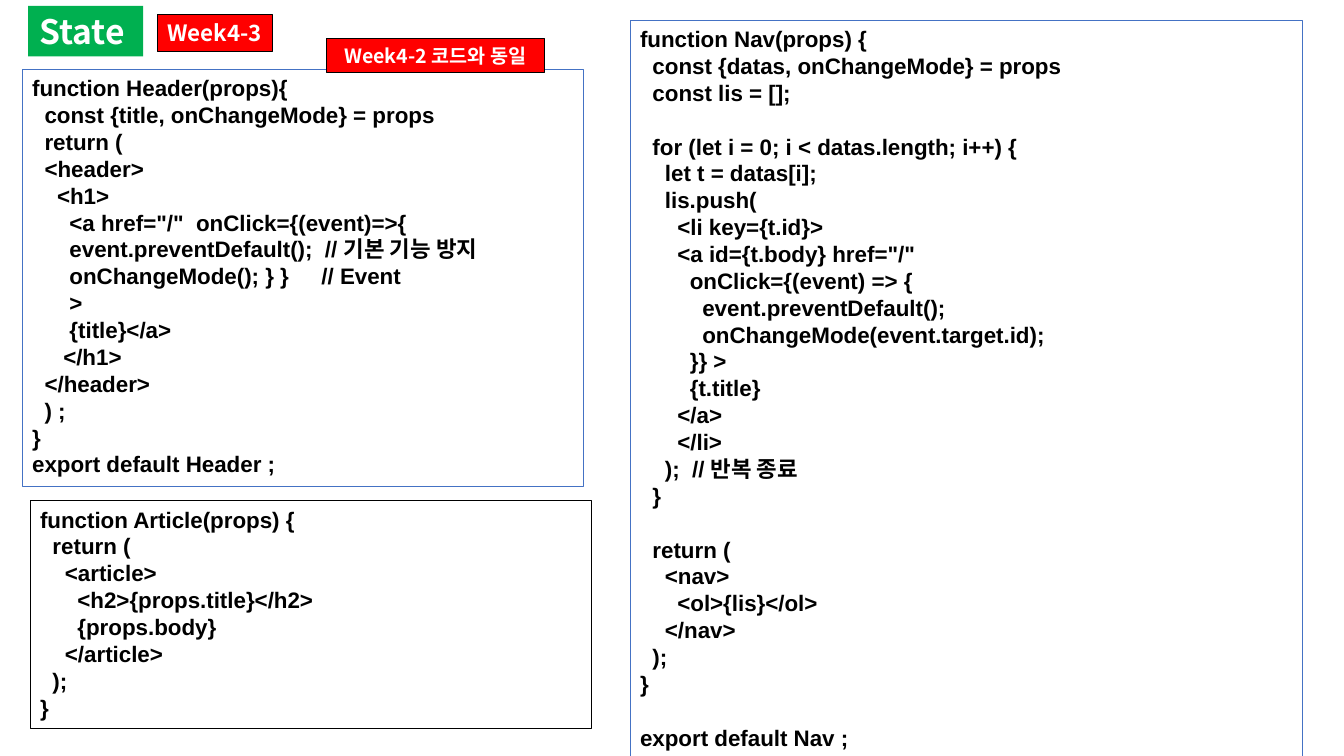
from lxml import etree
from pptx import Presentation
from pptx import util as u
from pptx.dml.color import RGBColor
from pptx.enum import shapes, text
from pptx.oxml.ns import qn

COLORS = {"green": "00B050", "red": "FF0000", "blue": "4472C4",
          "black": "000000", "white": "FFFFFF"}

HEADER = """function Header(props){
  const {title, onChangeMode} = props
  return (
  <header>
    <h1>
      <a href="/"  onClick={(event)=>{
      event.preventDefault();  // 기본 기능 방지
      onChangeMode(); } }\t// Event
      >
      {title}</a>
     </h1>
  </header>
  ) ;
}
export default Header ;"""

ARTICLE = """function Article(props) {
  return (
    <article>
      <h2>{props.title}</h2>
      {props.body}
    </article>
  );
}"""

NAV = """function Nav(props) {
  const {datas, onChangeMode} = props
  const lis = [];

  for (let i = 0; i < datas.length; i++) {
    let t = datas[i];
    lis.push(
      <li key={t.id}>
      <a id={t.body} href="/"
        onClick={(event) => {
          event.preventDefault();
          onChangeMode(event.target.id);
        }} >
        {t.title}
      </a>
      </li>
    );  // 반복 종료
  }

  return (
    <nav>
      <ol>{lis}</ol>
    </nav>
  );
}

export default Nav ;"""


class CodeSlide:
    code_font = "Arial"
    label_font = "Noto Sans CJK KR"
    code_size = 16
    line_height = u.Pt(19.2)
    space_width = u.Pt(4.45)
    comment_tab = u.Cm(7.23)

    def __init__(self, deck):
        self.slide = deck.slides.add_slide(deck.slide_layouts[5])

    def color(self, name):
        return RGBColor.from_string(COLORS[name])

    def format_runs(self, paragraph, font, size, color):
        for run in paragraph.runs:
            run.font.name = font
            run.font.size = u.Pt(size)
            run.font.bold = True
            run.font.color.rgb = self.color(color)
            east_asian = etree.SubElement(run.font._element, qn("a:ea"))
            east_asian.set("typeface", self.label_font)

    def rectangle(self, place):
        box = self.slide.shapes.add_shape(
            shapes.MSO_SHAPE.RECTANGLE, *[u.Cm(length) for length in place])
        box.shadow.inherit = False
        return box

    def outline(self, box, color):
        box.line.color.rgb = self.color(color)
        box.line.width = u.Pt(0.75)

    def write_label(self, box, words, size, fill):
        box.fill.solid()
        box.fill.fore_color.rgb = self.color(fill)
        frame = box.text_frame
        frame.text = words
        frame.word_wrap = False
        frame.auto_size = text.MSO_AUTO_SIZE.NONE
        frame.vertical_anchor = text.MSO_ANCHOR.MIDDLE
        frame.paragraphs[0].alignment = text.PP_ALIGN.CENTER
        frame.paragraphs[0].line_spacing = 1.0
        self.format_runs(frame.paragraphs[0], self.label_font, size, "white")

    def title(self, words, place):
        heading = self.slide.shapes.title
        heading.left, heading.top, heading.width, heading.height = [
            u.Cm(length) for length in place]
        self.write_label(heading, words, 24, "green")

    def badge(self, words, place, size):
        box = self.rectangle(place)
        self.outline(box, "black")
        self.write_label(box, words, size, "red")

    def code(self, source, place, border):
        box = self.rectangle(place)
        box.fill.background()
        self.outline(box, border)
        frame = box.text_frame
        frame.word_wrap = True
        frame.vertical_anchor = text.MSO_ANCHOR.TOP
        lines = source.split("\n")
        frame.text = "\n".join(line.strip() for line in lines if line)
        gap = 0
        paragraphs = iter(frame.paragraphs)
        for line in lines:
            if not line:
                gap += self.line_height
                continue
            paragraph = next(paragraphs)
            paragraph.alignment = text.PP_ALIGN.LEFT
            paragraph.line_spacing = self.line_height
            paragraph.space_before = u.Emu(gap)
            gap = 0
            indent = (len(line) - len(line.lstrip())) * self.space_width
            properties = paragraph._p.get_or_add_pPr()
            properties.set("marL", str(indent))
            properties.set("indent", "0")
            if "\t" in line:
                stops = etree.SubElement(properties, qn("a:tabLst"))
                etree.SubElement(stops, qn("a:tab"),
                                 pos=str(self.comment_tab), algn="l")
            self.format_runs(paragraph, self.code_font, self.code_size, "black")


deck = Presentation()
deck.slide_width, deck.slide_height = u.Cm(33.87), u.Cm(19.05)
state = CodeSlide(deck)
state.title("State ", (0.71, 0.15, 2.9, 1.27))
state.code(HEADER, (0.56, 1.75, 14.15, 10.52), "blue")
state.code(ARTICLE, (0.76, 12.62, 14.15, 5.74), "black")
state.code(NAV, (15.88, 0.51, 16.94, 18.72), "blue")
state.badge("Week4-3", (3.96, 0.36, 2.9, 0.94), 16)
state.badge("Week4-2 코드와 동일", (8.23, 0.97, 5.49, 0.86), 14)
deck.save("out.pptx")
